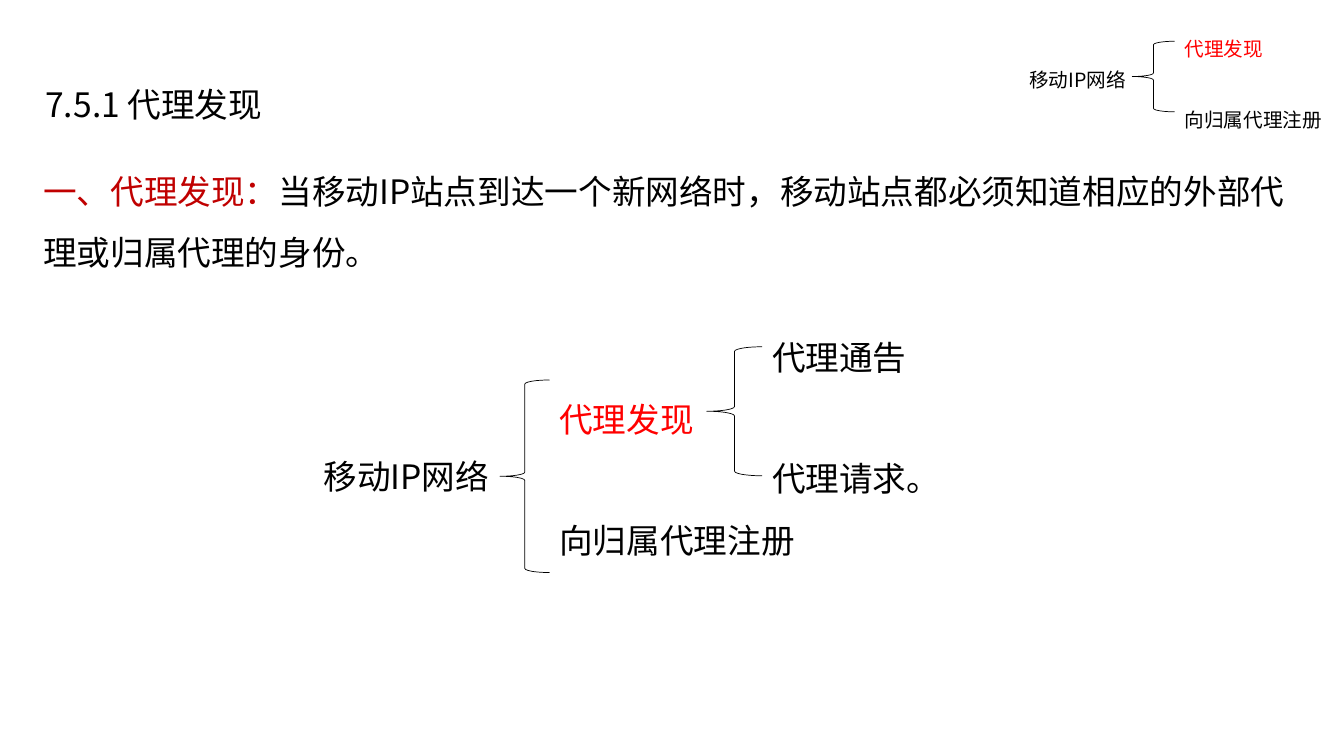
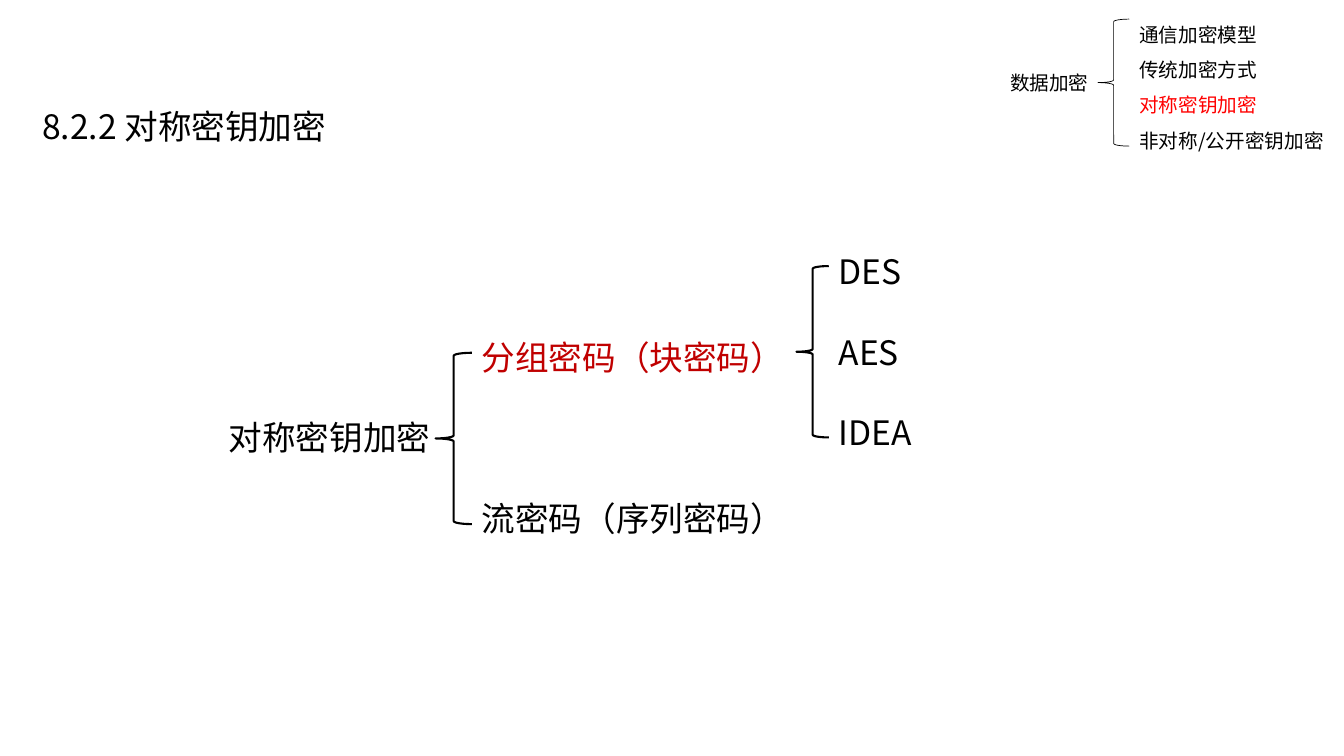
"""Build two outline slides whose topics branch out through braces."""
from lxml import etree
from pptx import Presentation
from pptx import util as u
from pptx.dml.color import RGBColor
from pptx.enum import shapes, text
from pptx.oxml.ns import qn

FONT = "Noto Sans CJK SC"
HUES = {"ink": "000000", "red": "FF0000", "deep": "C00000"}
WIDE, HIGH = 13.33, 7.5
BIG, SMALL = 24, 14
LEAD = 1.2

SLIDES = [
    {
        "title": ("7.5.1 代理发现", (0.33, 0.41, 2.93, 1.04)),
        "body": [("一、代理发现：", "deep"),
                 ("当移动IP站点到达一个新网络时，移动站点都必须知道相应的外部代理或归属代理的身份。", "ink")],
        "trees": [
            {"root": ("移动IP网络", 10.11, 0.62, 1.84), "brace": (11.23, 0.41, 0.42, 0.7),
             "items": [("代理发现", "red"), ("向归属代理注册", "ink")],
             "top": 0.2, "size": SMALL, "space": 1.5, "skip": 1, "line": 0.5},
            {"root": ("移动IP网络", 3.11, 4.47, 1.84), "brace": (4.96, 3.77, 0.49, 1.91),
             "items": [("代理发现", "red"), ("向归属代理注册", "ink")],
             "top": 3.71, "size": BIG, "space": 1.5, "skip": 1, "line": 0.5},
            {"brace": (7.01, 3.44, 0.55, 1.28),
             "items": [("代理通告", "ink"), ("代理请求。", "ink")],
             "top": 3.09, "size": BIG, "space": 1.5, "skip": 1, "line": 0.5},
        ],
    },
    {
        "title": ("8.2.2 对称密钥加密", (0.3, 0.63, 3.54, 1.04)),
        "trees": [
            {"root": ("对称密钥加密", 2.17, 4.09, 2.84), "brace": (4.32, 3.5, 0.36, 1.7),
             "items": [("分组密码（块密码）", "deep"), ("流密码（序列密码）", "ink")],
             "top": 3.29, "size": BIG, "space": 1, "skip": 3, "line": 1.5, "wide": 4.34},
            {"brace": (7.9, 2.64, 0.32, 1.7),
             "items": [("DES", "ink"), ("AES", "ink"), ("IDEA", "ink")],
             "top": 2.44, "size": BIG, "space": 1, "skip": 1, "line": 1.5},
            {"root": ("数据加密", 9.92, 0.65, 1.2), "brace": (10.89, 0.19, 0.31, 1.26),
             "items": [("通信加密模型", "ink"), ("传统加密方式", "ink"),
                       ("对称密钥加密", "red"), ("非对称/公开密钥加密", "ink")],
             "top": 0.06, "size": SMALL, "space": 1.5, "skip": 0, "line": 0.5},
        ],
    },
]


def inch(box):
    return [u.Inches(n) for n in box]


def write(para, runs, size, space):
    para.line_spacing = space
    para.alignment = text.PP_ALIGN.LEFT
    for words, hue in runs:
        run = para.add_run()
        run.text = words
        run.font.size = u.Pt(size)
        run.font.color.rgb = RGBColor.from_string(HUES[hue])
        run.font.name = FONT
        etree.SubElement(run.font._element, qn("a:ea")).set("typeface", FONT)


def label(slide, box, paras, size, space=1.0, skip=0):
    frame = slide.shapes.add_textbox(*inch(box)).text_frame
    frame.word_wrap = True
    for i, runs in enumerate(paras):
        para = frame.add_paragraph() if i else frame.paragraphs[0]
        write(para, runs, size, space)
        if i and skip:
            para.space_before = u.Pt(round(skip * size * LEAD * space, 1))


def head(slide, words, box):
    title = slide.shapes.title
    title.left, title.top, title.width, title.height = inch(box)
    frame = title.text_frame
    frame.word_wrap = True
    frame.auto_size = text.MSO_AUTO_SIZE.NONE
    frame.vertical_anchor = text.MSO_ANCHOR.MIDDLE
    frame.margin_left = frame.margin_right = u.Inches(0.12)
    frame.margin_top = frame.margin_bottom = u.Inches(0.06)
    write(frame.paragraphs[0], [(words, "ink")], BIG, 1.5)


def draw(slide, tree):
    size, space, skip = tree["size"], tree["space"], tree["skip"]
    pitch = size * LEAD / 72
    if "root" in tree:
        words, x, y, w = tree["root"]
        label(slide, (x, y, w, pitch + 0.1), [[(words, "ink")]], size)
    brace = slide.shapes.add_shape(shapes.MSO_SHAPE.LEFT_BRACE, *inch(tree["brace"]))
    brace.shadow.inherit = False
    brace.fill.background()
    brace.line.color.rgb = RGBColor.from_string(HUES["ink"])
    brace.line.width = u.Pt(tree["line"])
    items = tree["items"]
    left = tree["brace"][0] + tree["brace"][2]
    rows = len(items) + skip * (len(items) - 1)
    wide = min(tree.get("wide", 2.63), WIDE - left)
    label(slide, (left, tree["top"], wide, rows * pitch * space + 0.1),
          [[item] for item in items], size, space, skip)


def main():
    deck = Presentation()
    deck.slide_width, deck.slide_height = inch((WIDE, HIGH))
    for page in SLIDES:
        slide = deck.slides.add_slide(deck.slide_layouts[5])
        head(slide, *page["title"])
        if "body" in page:
            label(slide, (0.33, 1.45, 12.82, 1.24), [page["body"]], BIG, 1.5)
        for tree in page["trees"]:
            draw(slide, tree)
    deck.save("out.pptx")


if __name__ == "__main__":
    main()
